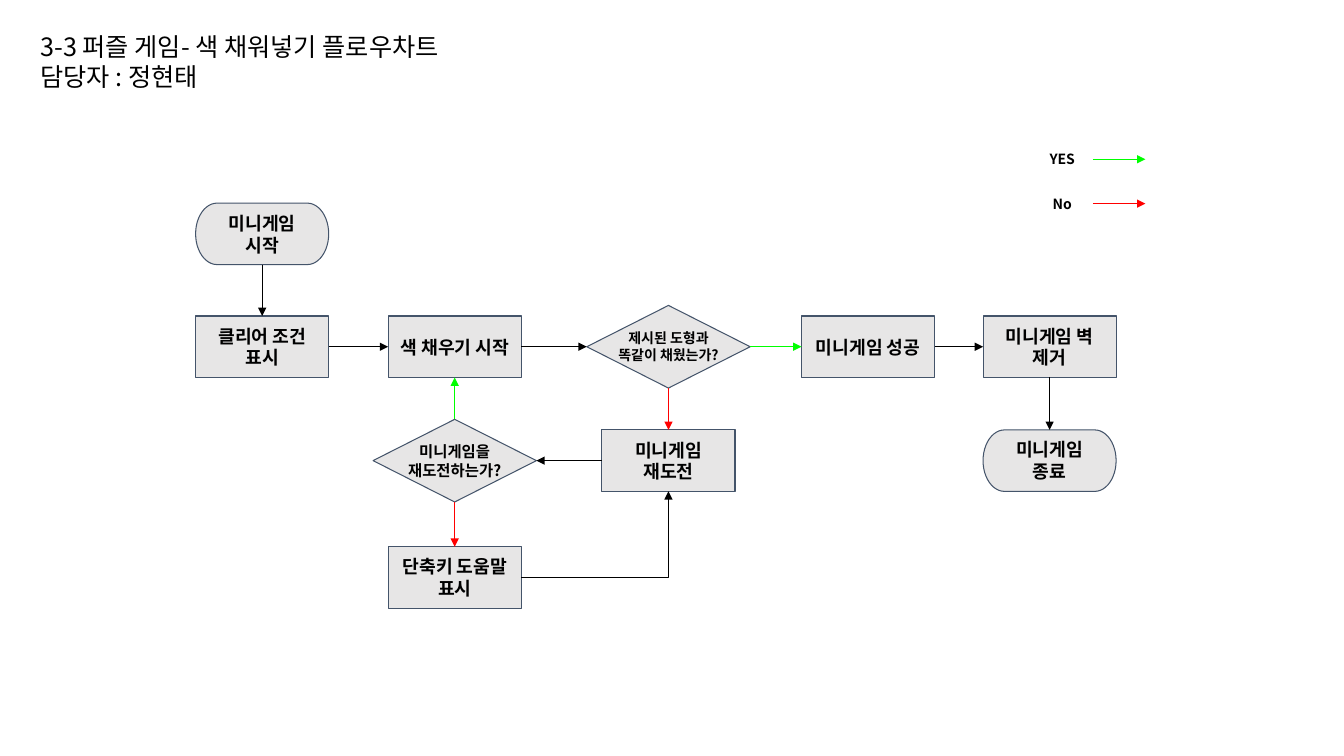
from lxml import etree
from pptx import Presentation
from pptx.dml.color import RGBColor
from pptx.enum.shapes import MSO_CONNECTOR, MSO_SHAPE
from pptx.enum.text import MSO_ANCHOR, PP_ALIGN
from pptx.oxml.ns import qn
from pptx.util import Inches, Pt

FONT = "Noto Sans CJK KR"
BLACK = RGBColor(0x00, 0x00, 0x00)
GREEN = RGBColor(0x00, 0xFF, 0x00)
RED = RGBColor(0xFF, 0x00, 0x00)
GRAY = RGBColor(0xE7, 0xE6, 0xE6)
SLATE = RGBColor(0x44, 0x54, 0x6A)
PROCESS = MSO_SHAPE.RECTANGLE
TERMINATOR = MSO_SHAPE.FLOWCHART_TERMINATOR
DECISION = MSO_SHAPE.FLOWCHART_DECISION
STRAIGHT, ELBOW = MSO_CONNECTOR.STRAIGHT, MSO_CONNECTOR.ELBOW
TOP, LEFT, BOTTOM, RIGHT = range(4)
TITLE_ONLY = 5

TITLE = ["3-3 퍼즐 게임- 색 채워넣기 플로우차트", "담당자 : 정현태"]

COLUMN_CENTERS = [2.6, 4.51, 6.63, 8.61, 10.41]
ROW_CENTERS = [2.32, 3.44, 4.57, 5.73]
BOX_SIZE = (1.32, 0.61)
DIAMOND_SIZE = (1.62, 0.82)

# name: (column, row, shape, text)
BOXES = {
    "start": (0, 0, TERMINATOR, "미니게임 시작"),
    "condition": (0, 1, PROCESS, "클리어 조건 표시"),
    "fill": (1, 1, PROCESS, "색 채우기 시작"),
    "success": (3, 1, PROCESS, "미니게임 성공"),
    "wall": (4, 1, PROCESS, "미니게임 벽 제거"),
    "retry": (2, 2, PROCESS, "미니게임 재도전"),
    "end": (4, 2, TERMINATOR, "미니게임 종료"),
    "help": (1, 3, PROCESS, "단축키 도움말 표시"),
}
# name: (column, row, label lines, label width, label height, font size)
DECISIONS = {
    "matched": (2, 1, ["제시된 도형과 똑같이 채웠는가?"], 1.4, 0.54, 10),
    "again": (1, 2, ["미니게임을", "재도전하는가?"], 1.27, 0.57, 11),
}
# from, side, to, side, colour, connector
FLOWS = [
    ("start", BOTTOM, "condition", TOP, BLACK, STRAIGHT),
    ("condition", RIGHT, "fill", LEFT, BLACK, STRAIGHT),
    ("fill", RIGHT, "matched", LEFT, BLACK, STRAIGHT),
    ("matched", RIGHT, "success", LEFT, GREEN, STRAIGHT),
    ("success", RIGHT, "wall", LEFT, BLACK, STRAIGHT),
    ("wall", BOTTOM, "end", TOP, BLACK, STRAIGHT),
    ("matched", BOTTOM, "retry", TOP, RED, STRAIGHT),
    ("retry", LEFT, "again", RIGHT, BLACK, STRAIGHT),
    ("again", TOP, "fill", BOTTOM, GREEN, STRAIGHT),
    ("again", BOTTOM, "help", TOP, RED, STRAIGHT),
    ("help", RIGHT, "retry", BOTTOM, BLACK, ELBOW),
]
# text, centre height, colour
LEGEND = [("YES", 1.58, GREEN), ("No", 2.02, RED)]
LEGEND_CENTER, LEGEND_SIZE = 10.535, (0.51, 0.37)
LEGEND_ARROW = (10.84, 11.36)


def centered(x, y, width, height):
    """Left, top, width and height of a box centred on x, y."""
    return [Inches(v) for v in (x - width / 2, y - height / 2, width, height)]


def write(shape, lines, size, bold=True, align=PP_ALIGN.CENTER):
    frame = shape.text_frame
    frame.word_wrap = True
    frame.text = "\n".join(lines)
    for paragraph in frame.paragraphs:
        paragraph.alignment = align
        paragraph.line_spacing = 1.0
        paragraph.font.size = Pt(size)
        paragraph.font.bold = bold
        paragraph.font.name = FONT
        paragraph.font.color.rgb = BLACK
        properties = paragraph.font._element
        etree.SubElement(properties, qn("a:ea"), typeface=FONT)


def write_inset(shape, lines, size):
    """Centred bold text with equal margins on all sides."""
    frame = shape.text_frame
    frame.vertical_anchor = MSO_ANCHOR.MIDDLE
    frame.margin_left = frame.margin_right = Inches(0.1)
    frame.margin_top = frame.margin_bottom = Inches(0.1)
    write(shape, lines, size)


def add_node(slide, kind, column, row, size):
    x, y = COLUMN_CENTERS[column], ROW_CENTERS[row]
    node = slide.shapes.add_shape(kind, *centered(x, y, *size))
    node.shadow.inherit = False
    node.fill.solid()
    node.fill.fore_color.rgb = GRAY
    node.line.color.rgb = SLATE
    node.line.width = Pt(0.75)
    return node


def add_label(slide, x, y, size, lines, font_size):
    label = slide.shapes.add_textbox(*centered(x, y, *size))
    write_inset(label, lines, font_size)


def add_arrow(slide, kind, color, start=(0, 0), end=(0, 0)):
    points = [Inches(v) for v in (*start, *end)]
    arrow = slide.shapes.add_connector(kind, *points)
    arrow.line.color.rgb = color
    arrow.line.width = Pt(0.75)
    line = arrow.line._get_or_add_ln()
    etree.SubElement(line, qn("a:tailEnd"), type="triangle")
    etree.SubElement(arrow._element.spPr, qn("a:effectLst"))
    if kind == ELBOW:
        # one single corner instead of two
        arrow._element.spPr.find(qn("a:prstGeom")).set("prst", "bentConnector2")
    return arrow


def main():
    presentation = Presentation()
    presentation.slide_width, presentation.slide_height = Inches(13.33), Inches(7.5)
    slide = presentation.slides.add_slide(presentation.slide_layouts[TITLE_ONLY])

    title = slide.shapes.title
    title.left, title.top = Inches(0.3), Inches(0.26)
    title.width, title.height = Inches(4.87), Inches(0.71)
    title.text_frame.vertical_anchor = MSO_ANCHOR.TOP
    write(title, TITLE, 18, bold=False, align=PP_ALIGN.LEFT)

    nodes = {}
    for name, (column, row, kind, text) in BOXES.items():
        nodes[name] = add_node(slide, kind, column, row, BOX_SIZE)
        write_inset(nodes[name], [text], 13)
    for name, (column, row, lines, width, height, size) in DECISIONS.items():
        nodes[name] = add_node(slide, DECISION, column, row, DIAMOND_SIZE)
        x, y = COLUMN_CENTERS[column], ROW_CENTERS[row]
        add_label(slide, x, y, (width, height), lines, size)

    for source, source_side, target, target_side, color, kind in FLOWS:
        arrow = add_arrow(slide, kind, color)
        arrow.begin_connect(nodes[source], source_side)
        arrow.end_connect(nodes[target], target_side)

    for text, y, color in LEGEND:
        add_label(slide, LEGEND_CENTER, y, LEGEND_SIZE, [text], 10)
        left, right = LEGEND_ARROW
        add_arrow(slide, STRAIGHT, color, (left, y), (right, y))

    presentation.save("out.pptx")


if __name__ == "__main__":
    main()
